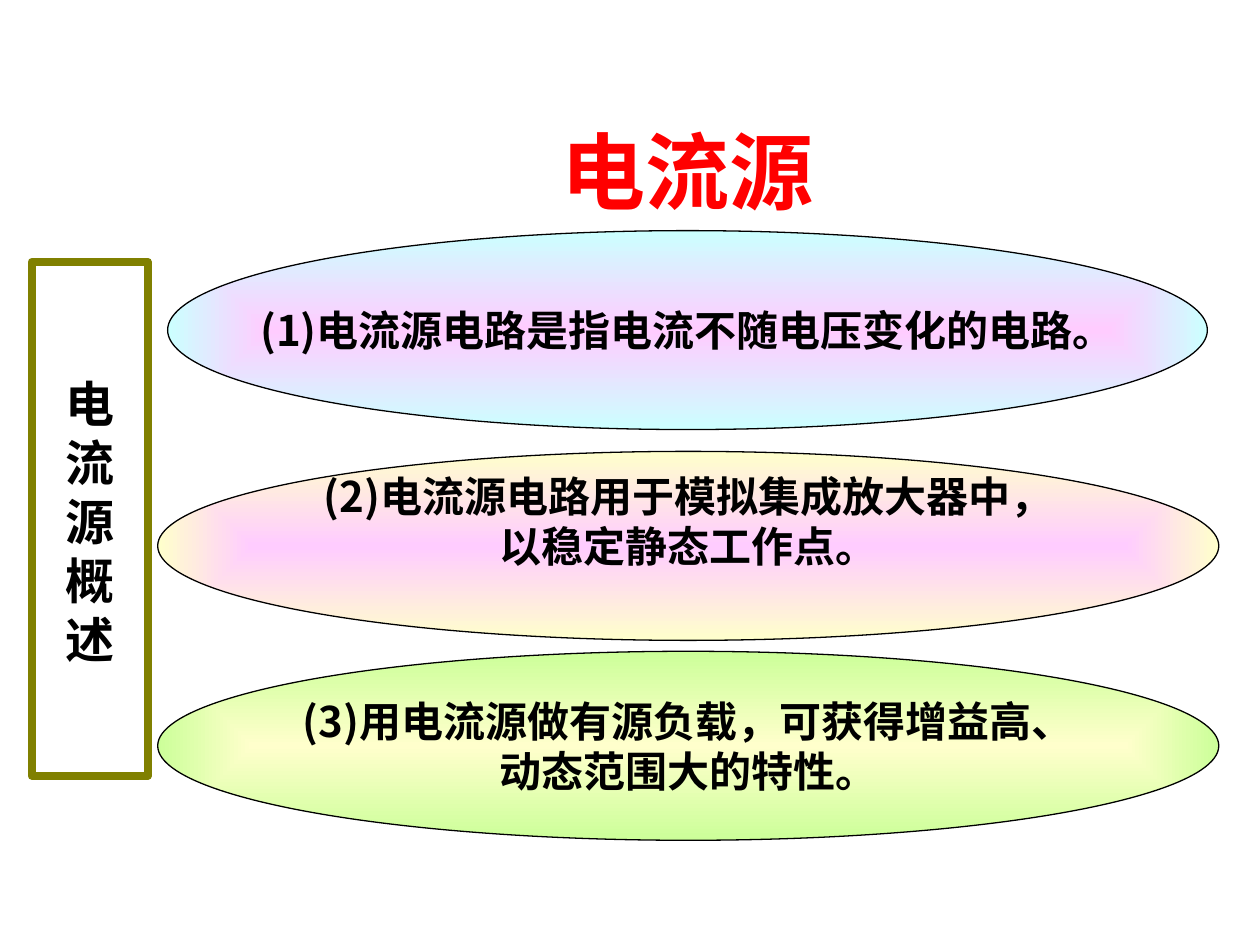
from dataclasses import dataclass

from lxml import etree
from pptx import Presentation
from pptx.dml.color import RGBColor
from pptx.enum.shapes import MSO_SHAPE
from pptx.enum.text import MSO_ANCHOR, PP_ALIGN
from pptx.oxml import parse_xml
from pptx.oxml.ns import qn
from pptx.util import Cm, Pt

OVAL, RECT = MSO_SHAPE.OVAL, MSO_SHAPE.RECTANGLE
MIDDLE, CENTER, LEFT = MSO_ANCHOR.MIDDLE, PP_ALIGN.CENTER, PP_ALIGN.LEFT
A_NS = "http://schemas.openxmlformats.org/drawingml/2006/main"


@dataclass(frozen=True)
class Theme:
    ink: str = "000000"
    title: str = "FF0000"
    frame: str = "808000"
    paper: str = "FFFFFF"
    pink: str = "FFCCFF"
    cyan: str = "CCFFFF"
    cream: str = "FFFFCC"
    green: str = "CCFF99"
    title_size: int = 48
    label_size: int = 28
    body_size: int = 24
    title_font: str = "Arial"
    label_font: str = "Times New Roman"
    body_font: str = "Noto Sans CJK SC"


T = Theme()


def rgb(color):
    return RGBColor.from_string(color)


def write_lines(tf, lines, font, size, color, align=LEFT):
    for i, line in enumerate(lines):
        p = tf.paragraphs[0] if i == 0 else tf.add_paragraph()
        p.text = line
        p.alignment = align
        p.font.name = font
        p.font.size = Pt(size)
        p.font.bold = True
        p.font.color.rgb = rgb(color)


def add_outlined(slide, kind, box, line_color, line_width):
    s = slide.shapes.add_shape(kind, *map(Cm, box))
    s.shadow.inherit = False
    s.line.color.rgb = rgb(line_color)
    s.line.width = Pt(line_width)
    return s


def set_center_gradient(s, inner, outer):
    """Fill from the inner colour at the centre to the outer one at the edge."""
    s.fill.gradient()
    grad = s.element.spPr.find(qn("a:gradFill"))
    new = parse_xml(
        f'<a:gradFill xmlns:a="{A_NS}" rotWithShape="1"><a:gsLst>'
        f'<a:gs pos="0"><a:srgbClr val="{inner}"/></a:gs>'
        f'<a:gs pos="100000"><a:srgbClr val="{outer}"/></a:gs></a:gsLst>'
        '<a:path path="rect"/></a:gradFill>')
    etree.SubElement(new.find(qn("a:path")), qn("a:fillToRect"),
                     {side: "50000" for side in "ltrb"})
    grad.getparent().replace(grad, new)


def add_text(slide, box, text, font, size, color):
    s = slide.shapes.add_textbox(*map(Cm, box))
    s.text_frame.word_wrap = True
    write_lines(s.text_frame, [text], font, size, color)


def add_point(slide, box, lines, inner, outer, lift=0):
    """Oval with one point; lift raises the text by a deeper bottom inset."""
    s = add_outlined(slide, OVAL, box, T.ink, 0.75)
    set_center_gradient(s, inner, outer)
    tf = s.text_frame
    tf.word_wrap = False
    tf.vertical_anchor = MIDDLE
    tf.margin_bottom = Cm(0.13 + lift)
    write_lines(tf, lines, T.body_font, T.body_size, T.ink, CENTER)


def add_side_label(slide, box, text):
    """Framed panel whose narrow text box stacks the characters."""
    left, top, _, _ = box
    s = add_outlined(slide, RECT, box, T.frame, 4.5)
    s.fill.solid()
    s.fill.fore_color.rgb = rgb(T.paper)
    add_text(slide, (left + 0.43, top + 2.13, 1.9, 6.2), text,
             T.label_font, T.label_size, T.ink)


def main():
    prs = Presentation()
    prs.slide_width, prs.slide_height = Cm(25.4), Cm(19.05)
    slide = prs.slides.add_slide(prs.slide_layouts[6])

    # Three points
    add_point(slide, (3.38, 4.65, 20.96, 4.01),
              ["(1)电流源电路是指电流不随电压变化的电路。"], T.pink, T.cyan)
    add_point(slide, (3.18, 9.1, 21.39, 3.81),
              ["(2)电流源电路用于模拟集成放大器中，", "以稳定静态工作点。"],
              T.pink, T.cream, lift=1)
    add_point(slide, (3.18, 13.13, 21.39, 3.81),
              ["(3)用电流源做有源负载，可获得增益高、", "动态范围大的特性。"],
              T.cream, T.green)

    # Side label and title
    add_side_label(slide, (0.64, 5.28, 2.34, 10.36), "电流源概述")
    add_text(slide, (11.07, 2.29, 6.38, 2.29), "电流源",
             T.title_font, T.title_size, T.title)

    prs.save("out.pptx")


if __name__ == "__main__":
    main()
